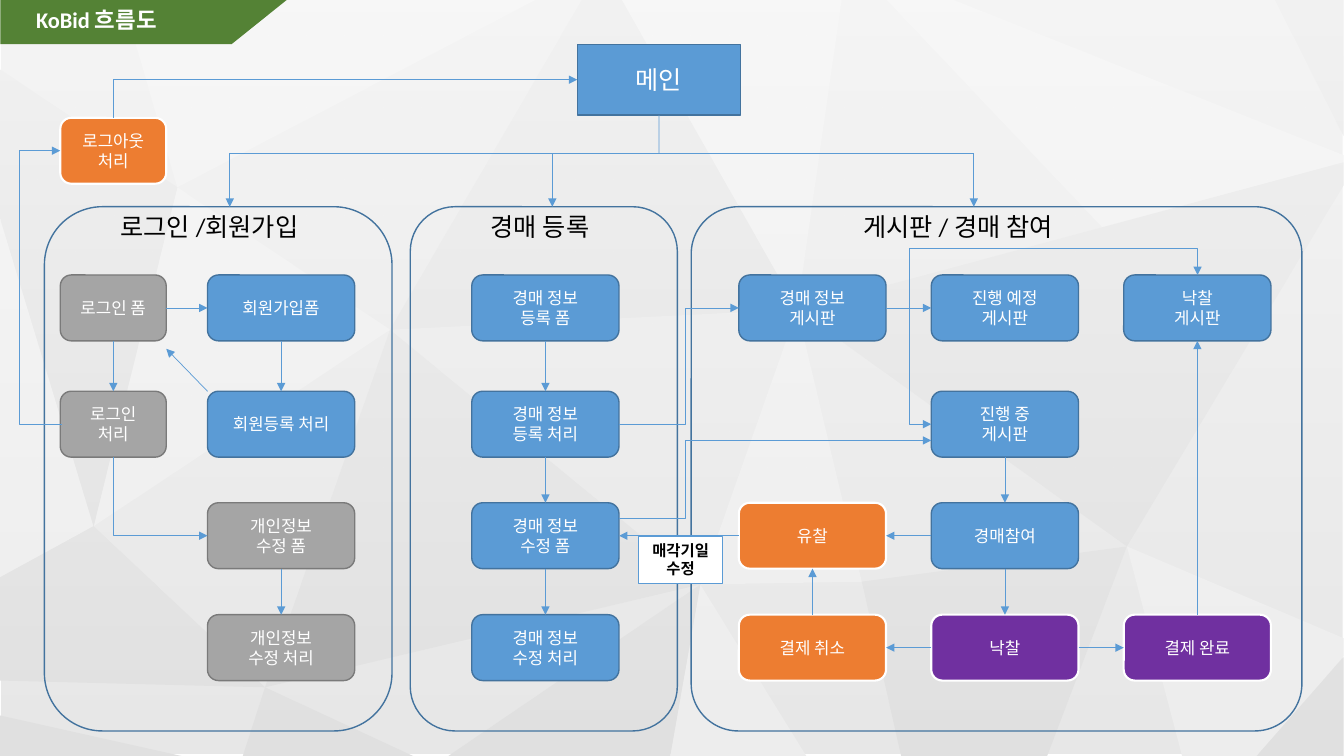
"""Build the flow chart slide of an auction site."""
from dataclasses import dataclass

from pptx import Presentation
from pptx.dml.color import RGBColor
from pptx.enum.shapes import MSO_CONNECTOR, MSO_SHAPE
from pptx.enum.text import MSO_ANCHOR, PP_ALIGN
from pptx.oxml.ns import qn
from pptx.util import Cm, Pt
from lxml.etree import SubElement

COLORS = {
    "base": "E7E7E7", "light": "EDEDED", "dark": "E0E0E0", "white": "FFFFFF", "black": "000000",
    "green": "548235", "blue": "5B9BD5", "navy": "43739E", "gray": "A5A5A5", "slate": "7A7A7A",
    "orange": "ED7D31", "purple": "7030A0",
}
OUTLINES = {"blue": ("navy", 1), "gray": ("slate", 1), "orange": ("white", 1.5), "purple": ("white", 1.5)}
COLUMNS = (1.52, 5.23, 11.89, 18.62, 23.47, 28.32)
ROWS = (2.97, 6.93, 9.86, 12.67, 15.49)
STEP_HEIGHT, STEP_WIDTH, NARROW_WIDTH = 1.66, 3.71, 2.67
TOP, LEFT, BOTTOM, RIGHT = range(4)
TREE_Y, PANEL_TOP, PANEL_HEIGHT = 3.86, 5.21, 13.21
Point = tuple[float, float]


@dataclass
class Step:
    key: str
    text: str
    column: int
    row: int
    color: str = "blue"


@dataclass
class Link:
    source: str
    source_side: int
    target: str
    target_side: int


@dataclass
class Elbow:
    start: Point
    end: Point
    bends: tuple[float, ...] = ()
    arrow: str = "tailEnd"


@dataclass
class Panel:
    left: float
    width: float
    corner: float
    title: str
    title_left: float
    title_width: float
    drop_x: float


FACETS = {
    "light": (
        ((17.65, 14.73), (16.89, 19.05), (20.32, 19.05)),
        ((20.09, 7.8), (17.65, 14.73), (21.72, 14.66)),
        ((28.4, 13.77), (29.79, 19.05), (31.67, 19.05), (33.86, 16.54), (33.86, 16.08)),
        ((0, 5.49), (0, 14.55), (2.36, 13.26)),
        ((22.35, 0), (27.79, 5.74), (33.86, 4.09), (33.86, 3.91), (24.03, 0)),
        ((2.36, 13.26), (9.83, 8.31), (4.47, 4.72)),
        ((3.1, 0), (4.47, 4.72), (13.49, 0)),
        ((15.67, 0), (20.09, 7.8), (21.21, 0)),
    ),
    "dark": (
        ((2.36, 13.26), (0, 14.55), (0, 17.15), (6.68, 17.32)),
        ((6.68, 17.32), (6.12, 19.05), (10.41, 19.05)),
        ((33.86, 16.56), (31.67, 19.05), (33.86, 19.05)),
        ((0, 18.03), (0, 19.05), (4.57, 19.05)),
        ((28.4, 13.77), (21.72, 14.66), (22.71, 19.05), (26.39, 19.05)),
        ((17.65, 14.73), (11.3, 19.05), (16.89, 19.05)),
        ((33.86, 4.09), (20.09, 7.8), (28.4, 13.77), (33.86, 4.67)),
        ((17.65, 14.73), (9.83, 8.31), (6.68, 17.32)),
        ((32.13, 0), (33.86, 3.43), (33.86, 0)),
        ((0, 1.75), (0, 5.49), (2.36, 13.26), (4.47, 4.72)),
        ((14.66, 0), (9.83, 8.31), (20.09, 7.8), (15.67, 0)),
    ),
}
PANELS = (
    Panel(1.12, 8.76, 0.167, "로그인 /회원가입", 2.79, 5.99, 5.79),
    Panel(10.34, 6.73, 0.167, "경매 등록", 12.12, 3.61, 13.92),
    Panel(17.42, 15.39, 0.09, "게시판 / 경매 참여", 21.51, 6.05, 24.54),
)
STEPS = (
    Step("logout", "로그아웃 처리", 0, 0, "orange"),
    Step("login form", "로그인 폼", 0, 1, "gray"),
    Step("login", "로그인 처리", 0, 2, "gray"),
    Step("join form", "회원가입폼", 1, 1),
    Step("join", "회원등록 처리", 1, 2),
    Step("profile form", "개인정보\n수정 폼", 1, 3, "gray"),
    Step("profile", "개인정보\n수정 처리", 1, 4, "gray"),
    Step("auction form", "경매 정보\n등록 폼", 2, 1),
    Step("auction", "경매 정보\n등록 처리", 2, 2),
    Step("edit form", "경매 정보\n수정 폼", 2, 3),
    Step("edit", "경매 정보\n수정 처리", 2, 4),
    Step("board", "경매 정보\n게시판", 3, 1),
    Step("failed", "유찰", 3, 3, "orange"),
    Step("cancelled", "결제 취소", 3, 4, "orange"),
    Step("planned", "진행 예정\n게시판", 4, 1),
    Step("running", "진행 중\n게시판", 4, 2),
    Step("bid", "경매참여", 4, 3),
    Step("won", "낙찰", 4, 4, "purple"),
    Step("won board", "낙찰\n게시판", 5, 1),
    Step("paid", "결제 완료", 5, 4, "purple"),
)
LINKS = (
    Link("login form", BOTTOM, "login", TOP),
    Link("login form", RIGHT, "join form", LEFT),
    Link("join form", BOTTOM, "join", TOP),
    Link("profile form", BOTTOM, "profile", TOP),
    Link("auction form", BOTTOM, "auction", TOP),
    Link("auction", BOTTOM, "edit form", TOP),
    Link("edit form", BOTTOM, "edit", TOP),
    Link("board", RIGHT, "planned", LEFT),
    Link("running", BOTTOM, "bid", TOP),
    Link("bid", LEFT, "failed", RIGHT),
    Link("bid", BOTTOM, "won", TOP),
    Link("failed", LEFT, "edit form", RIGHT),
    Link("won", RIGHT, "paid", LEFT),
    Link("won", LEFT, "cancelled", RIGHT),
    Link("cancelled", TOP, "failed", BOTTOM),
    Link("paid", TOP, "won board", BOTTOM),
)
ELBOWS = (
    Elbow((14.55, 2.01), (2.86, 2.97), arrow="headEnd"),
    Elbow((5.23, 13.5), (2.86, 11.52), arrow="headEnd"),
    Elbow((23.47, 10.69), (22.91, 7.76), arrow="headEnd"),
    Elbow((1.57, 10.69), (1.52, 3.8), (0.48,)),
    Elbow((15.6, 10.69), (18.62, 7.76), (17.27,)),
    Elbow((15.6, 13.06), (23.47, 11.1), (17.27,)),
    Elbow((22.91, 7.76), (30.18, 6.93), (22.91, 6.27)),
)


def rgb(color: str) -> RGBColor:
    return RGBColor.from_string(COLORS[color])


def paint(shape, fill: str = "", outline: tuple[str, float] | None = None):
    shape.shadow.inherit = False
    if fill:
        shape.fill.solid()
        shape.fill.fore_color.rgb = rgb(fill)
    else:
        shape.fill.background()
    if outline:
        shape.line.color.rgb = rgb(outline[0])
        shape.line.width = Pt(outline[1])
    else:
        shape.line.fill.background()
    return shape


def write(shape, text: str, size: float, color: str = "white", bold: bool = False,
          align=PP_ALIGN.CENTER, anchor=MSO_ANCHOR.MIDDLE, spacing: float = 1.0) -> None:
    frame = shape.text_frame
    frame.text = text
    frame.word_wrap = True
    frame.vertical_anchor = anchor
    for paragraph in frame.paragraphs:
        paragraph.alignment = align
        paragraph.line_spacing = spacing
        for run in paragraph.runs:
            run.font.name, run.font.size, run.font.bold = "Calibri", Pt(size), bold
            run.font.color.rgb = rgb(color)


def add_box(shapes, kind, left: float, top: float, width: float, height: float,
            fill: str = "", outline: tuple[str, float] | None = None):
    return paint(shapes.add_shape(kind, Cm(left), Cm(top), Cm(width), Cm(height)), fill, outline)


def add_line(shapes, start: Point, end: Point, arrow: str = "tailEnd", kind=MSO_CONNECTOR.STRAIGHT):
    line = shapes.add_connector(kind, *map(Cm, start + end))
    line.line.color.rgb = rgb("blue")
    line.line.width = Pt(0.5)
    if arrow:
        SubElement(line.line._get_or_add_ln(), qn(f"a:{arrow}"), type="triangle")
    SubElement(line._element.spPr, qn("a:effectLst"))
    return line


def add_elbow(shapes, elbow: Elbow) -> None:
    line = add_line(shapes, elbow.start, elbow.end, elbow.arrow, MSO_CONNECTOR.ELBOW)
    geometry = line._element.spPr.find(qn("a:prstGeom"))
    geometry.set("prst", f"bentConnector{2 + len(elbow.bends)}")
    guides = geometry.find(qn("a:avLst"))
    for number, (bend, start, end) in enumerate(zip(elbow.bends, elbow.start, elbow.end), 1):
        share = round((bend - start) / (end - start) * 100000)
        SubElement(guides, qn("a:gd"), name=f"adj{number}", fmla=f"val {share}")


def add_backdrop(shapes) -> None:
    add_box(shapes, MSO_SHAPE.RECTANGLE, 0.03, 0, 33.81, 19, "base")
    for color, outlines in FACETS.items():
        for (first, *others) in outlines:
            builder = shapes.build_freeform(*map(Cm, first))
            builder.add_line_segments([(Cm(x), Cm(y)) for x, y in others], close=True)
            paint(builder.convert_to_shape(), color)
    veil = add_box(shapes, MSO_SHAPE.RECTANGLE, 0, 0, 33.87, 19.05)
    veil.fill.gradient()
    veil.fill.gradient_angle = 270
    for stop in veil.fill.gradient_stops:
        stop.color.rgb = rgb("white")
    for tint, alpha in zip(veil._element.spPr.iter(qn("a:srgbClr")), (60000, 0)):
        SubElement(tint, qn("a:alpha"), val=str(alpha))


def main() -> None:
    deck = Presentation()
    deck.slide_width, deck.slide_height = Cm(33.87), Cm(19.05)
    shapes = deck.slides.add_slide(deck.slide_layouts[6]).shapes
    add_backdrop(shapes)

    banner = add_box(shapes, MSO_SHAPE.FLOWCHART_MANUAL_INPUT, 3.07, -3.12, 1.17, 7.29, "green")
    banner.rotation = 90
    banner._element.spPr.find(qn("a:xfrm")).set("flipH", "1")
    heading = shapes.add_textbox(Cm(0.66), Cm(-0.03), Cm(5.44), Cm(1.14))
    write(heading, "KoBid 흐름도", 16, bold=True, align=PP_ALIGN.LEFT, spacing=0.9)

    home = add_box(shapes, MSO_SHAPE.RECTANGLE, 14.55, 1.12, 4.11, 1.78, "blue", OUTLINES["blue"])
    write(home, "메인", 18)
    trunk = add_line(shapes, (16.61, 2.9), (16.61, TREE_Y), "")
    trunk.begin_connect(home, BOTTOM)
    add_line(shapes, (PANELS[0].drop_x, TREE_Y), (PANELS[-1].drop_x, TREE_Y), "")

    for panel in PANELS:
        frame = add_box(shapes, MSO_SHAPE.ROUNDED_RECTANGLE, panel.left, PANEL_TOP, panel.width,
                        PANEL_HEIGHT, outline=OUTLINES["blue"])
        frame.adjustments[0] = panel.corner
        caption = shapes.add_textbox(Cm(panel.title_left), Cm(PANEL_TOP), Cm(panel.title_width), Cm(1.02))
        write(caption, panel.title, 18, "black", align=PP_ALIGN.LEFT, anchor=MSO_ANCHOR.TOP)
        add_line(shapes, (panel.drop_x, TREE_Y), (panel.drop_x, PANEL_TOP))

    boxes = {}
    for step in STEPS:
        width = STEP_WIDTH if step.column else NARROW_WIDTH
        boxes[step.key] = add_box(shapes, MSO_SHAPE.ROUNDED_RECTANGLE, COLUMNS[step.column], ROWS[step.row],
                                  width, STEP_HEIGHT, step.color, OUTLINES[step.color])
        write(boxes[step.key], step.text, 12)
    for link in LINKS:
        arrow = add_line(shapes, (0, 0), (1, 1))
        arrow.begin_connect(boxes[link.source], link.source_side)
        arrow.end_connect(boxes[link.target], link.target_side)
    add_line(shapes, (5.23, 9.86), (4.19, 8.79))
    for elbow in ELBOWS:
        add_elbow(shapes, elbow)

    sale_date = add_box(shapes, MSO_SHAPE.RECTANGLE, 16.1, 13.51, 2.11, 1.19, "white", ("blue", 0.75))
    write(sale_date, "매각기일 수정", 11, "black", bold=True, anchor=MSO_ANCHOR.TOP)
    deck.save("out.pptx")


if __name__ == "__main__":
    main()
